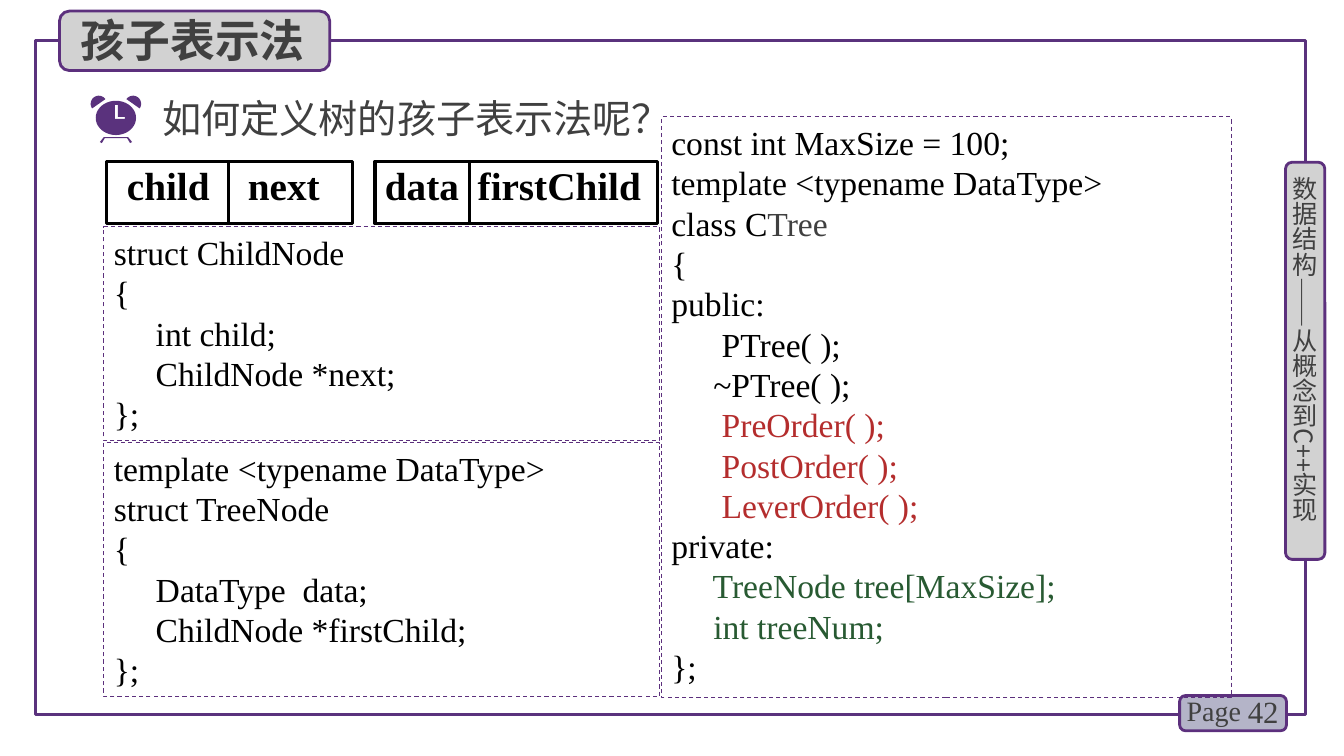
import math
from dataclasses import dataclass

import pptx
import pptx.dml.color
import pptx.enum.dml
import pptx.enum.shapes
import pptx.enum.text
import pptx.oxml.ns
import pptx.util
from lxml import etree

Inches = pptx.util.Inches
Shapes = pptx.enum.shapes.MSO_SHAPE
Align = pptx.enum.text.PP_ALIGN
Anchor = pptx.enum.text.MSO_ANCHOR
DASH = pptx.enum.dml.MSO_LINE.DASH


@dataclass(frozen=True)
class Theme:
    violet: str = "5A327D"
    edge: str = "5C307D"
    panel: str = "D2D2D2"
    badge: str = "B4B4C8"
    grey: str = "404040"
    black: str = "000000"
    red: str = "B42D2D"
    green: str = "285A32"
    serif: str = "Times New Roman"
    sans: str = "Noto Sans CJK SC"
    title: int = 32
    heading: int = 28
    code: int = 24
    number: int = 22
    page: int = 20
    side: int = 18


THEME = Theme()
PADDING = (0.1, 0.05, 0.1, 0.05)
TAG = pptx.oxml.ns.qn


def rgb(value):
    return pptx.dml.color.RGBColor.from_string(value)


def add_box(slide, box, line, width, fill=None, kind=Shapes.RECTANGLE, dash=None):
    shape = slide.shapes.add_shape(kind, *map(Inches, box))
    shape.shadow.inherit = False
    if fill:
        shape.fill.solid()
        shape.fill.fore_color.rgb = rgb(fill)
    else:
        shape.fill.background()
    shape.line.color.rgb = rgb(line)
    shape.line.width = pptx.util.Pt(width)
    if dash:
        shape.line.dash_style = dash
    return shape


def add_span(para, text, font, size, color, bold=False):
    span = para.add_run()
    span.text = text
    formats = {"name": font, "size": pptx.util.Pt(size), "bold": bold}
    for name, value in formats.items():
        setattr(span.font, name, value)
    span.font.color.rgb = rgb(color)
    etree.SubElement(span.font._element, TAG("a:ea"), typeface=font)


def set_frame(shape, padding=PADDING, anchor=Anchor.MIDDLE, wrap=True):
    frame = shape.text_frame
    sides = ("margin_left", "margin_top", "margin_right", "margin_bottom")
    formats = dict(zip(sides, map(Inches, padding)))
    formats.update(word_wrap=wrap, vertical_anchor=anchor,
                   auto_size=pptx.enum.text.MSO_AUTO_SIZE.NONE)
    for name, value in formats.items():
        setattr(frame, name, value)
    return frame


def add_label(slide, box, text, font, size, align=Align.LEFT, padding=PADDING):
    label = slide.shapes.add_textbox(*map(Inches, box))
    frame = set_frame(label, padding)
    para = frame.paragraphs[0]
    para.alignment = align
    add_span(para, text, font, size, THEME.grey)
    return frame


def add_outline(slide, contours):
    """Draw filled contours; inner contours become holes."""
    points = [[(Inches(x), Inches(y)) for x, y in contour] for contour in contours]
    builder = slide.shapes.build_freeform(*points[0][0], scale=1.0)
    for index, contour in enumerate(points):
        if index:
            builder.move_to(*contour[0])
        builder.add_line_segments(contour[1:], close=True)
    shape = builder.convert_to_shape()
    shape.shadow.inherit = False
    shape.fill.solid()
    shape.fill.fore_color.rgb = rgb(THEME.violet)
    shape.line.fill.background()


def arc(center_x, center_y, radius_x, radius_y, start, end):
    angles = [math.radians(angle) for angle in range(start, end, 9)]
    return [(center_x + radius_x * math.cos(a), center_y + radius_y * math.sin(a))
            for a in angles]


# Frame, page badge and side tab
def add_frame(slide, box):
    add_box(slide, box, THEME.violet, 2.25)
    left, top, width, height = box
    right, bottom = left + width, top + height
    rounded = Shapes.ROUNDED_RECTANGLE
    add_box(slide, (right - 1.25, bottom - 0.19, 1.06, 0.35),
            THEME.edge, 2, THEME.badge, rounded)
    add_label(slide, (right - 0.88, bottom - 0.23, 0.71, 0.4), "42",
              THEME.serif, THEME.number, Align.RIGHT)
    add_label(slide, (right - 1.28, bottom - 0.26, 0.78, 0.44), "Page",
              THEME.serif, THEME.page)
    add_box(slide, (right - 0.2, top + 1.21, 0.39, 3.94),
            THEME.edge, 2, THEME.panel, rounded)
    side = add_label(slide, (right - 0.16, top + 1.35, 0.3, 3.78),
                     "数据结构——从概念到C++实现", THEME.sans, THEME.side,
                     padding=(0, 0, 0, 0))
    side._element.bodyPr.set("vert", "eaVert")


# Title on its rounded tab
def add_title(slide, box):
    left, top, width, height = box
    add_box(slide, box, THEME.edge, 2, THEME.panel, Shapes.ROUNDED_RECTANGLE)
    title = slide.shapes.title
    slide.shapes._spTree.append(title._element)
    place = (left + 0.11, top - 0.04, width - 0.18, height + 0.05)
    for name, value in zip(("left", "top", "width", "height"), place):
        setattr(title, name, Inches(value))
    para = set_frame(title, wrap=False).paragraphs[0]
    para.alignment = Align.LEFT
    add_span(para, "孩子表示法", THEME.sans, THEME.title, THEME.grey, True)


# Alarm clock and the question beside it
def add_question(slide, box):
    left, top, width, height = box
    middle = left + 0.25
    leg = [(0.16, 0.46), (0.12, 0.41), (-0.12, 0.41), (-0.16, 0.46),
           (-0.14, 0.47), (-0.11, 0.42), (0.11, 0.42), (0.14, 0.47)]
    add_outline(slide, [[(middle + x, top + y) for x, y in leg]])
    bell = arc(-0.17, 0.08, 0.08, 0.08, 145, 326)
    for side in (1, -1):
        add_outline(slide, [[(middle + side * x, top + y) for x, y in bell]])
    hands = [(-0.01, 0.09), (0.02, 0.09), (0.02, 0.21),
             (0.09, 0.21), (0.09, 0.23), (-0.01, 0.23)]
    add_outline(slide, [arc(middle, top + 0.22, 0.2, 0.17, 0, 360),
                        [(middle + x, top + y) for x, y in hands]])
    add_label(slide, (left + 0.61, top - 0.07, width - 0.61, height),
              "如何定义树的孩子表示法呢？", THEME.sans, THEME.heading)


# Two-field node record
def add_record(slide, box, fields, divider, inset, tab):
    left, top, width, height = box
    record = add_box(slide, box, THEME.black, 2.25)
    para = set_frame(record, (inset, 0, 0, 0), Anchor.TOP).paragraphs[0]
    para.alignment = Align.LEFT
    stops = etree.SubElement(para._p.get_or_add_pPr(), TAG("a:tabLst"))
    etree.SubElement(stops, TAG("a:tab"), pos=str(Inches(tab)), algn="l")
    add_span(para, "\t".join(fields), THEME.serif, THEME.heading, THEME.black, True)
    x = Inches(left + divider)
    line = slide.shapes.add_connector(pptx.enum.shapes.MSO_CONNECTOR.STRAIGHT,
                                      x, Inches(top), x, Inches(top + height))
    line.line.color.rgb = rgb(THEME.black)
    line.line.width = pptx.util.Pt(2.25)
    etree.SubElement(line._element.spPr, TAG("a:effectLst"))


# Dashed code panel; each line is text or a list of (text, colour)
def add_code(slide, box, lines):
    panel = add_box(slide, box, THEME.edge, 0.75, dash=DASH)
    frame = set_frame(panel, anchor=Anchor.TOP)
    for index, line in enumerate(lines):
        para = frame.add_paragraph() if index else frame.paragraphs[0]
        para.alignment = Align.LEFT
        for text, color in [(line, THEME.black)] if isinstance(line, str) else line:
            add_span(para, text, THEME.serif, THEME.code, color)


CHILD_NODE = ["struct ChildNode", "{", "     int child;", "     ChildNode *next;", "};"]
TREE_NODE = ["template <typename DataType>", "struct TreeNode", "{",
             "     DataType  data;", "     ChildNode *firstChild;", "};"]
TREE_CLASS = ["const int MaxSize = 100;", "template <typename DataType>",
              [("class C", THEME.black), ("Tree", THEME.grey)], "{", "public:",
              "      PTree( );", "     ~PTree( );",
              *[[(f"      {name}Order( );", THEME.red)] for name in ("Pre", "Post", "Lever")],
              "private:", [("     TreeNode tree[MaxSize];", THEME.green)],
              [("     int treeNum;", THEME.green)], "};"]


def main():
    deck = pptx.Presentation()
    deck.slide_width, deck.slide_height = Inches(13.33), Inches(7.5)
    slide = deck.slides.add_slide(deck.slide_layouts[5])
    add_frame(slide, (0.35, 0.4, 12.6, 6.69))
    add_title(slide, (0.59, 0.11, 2.68, 0.59))
    add_question(slide, (0.9, 0.95, 5.98, 0.57))
    add_record(slide, (1.06, 1.6, 2.44, 0.62), ("child", "next"), 1.21, 0.2, 1.2)
    add_record(slide, (3.72, 1.6, 2.8, 0.62), ("data", "firstChild"), 0.94, 0.1, 0.92)
    add_code(slide, (1.03, 2.25, 5.51, 2.12), CHILD_NODE)
    add_code(slide, (1.03, 4.39, 5.51, 2.52), TREE_NODE)
    add_code(slide, (6.56, 1.16, 5.65, 5.76), TREE_CLASS)
    deck.save("out.pptx")


if __name__ == "__main__":
    main()
